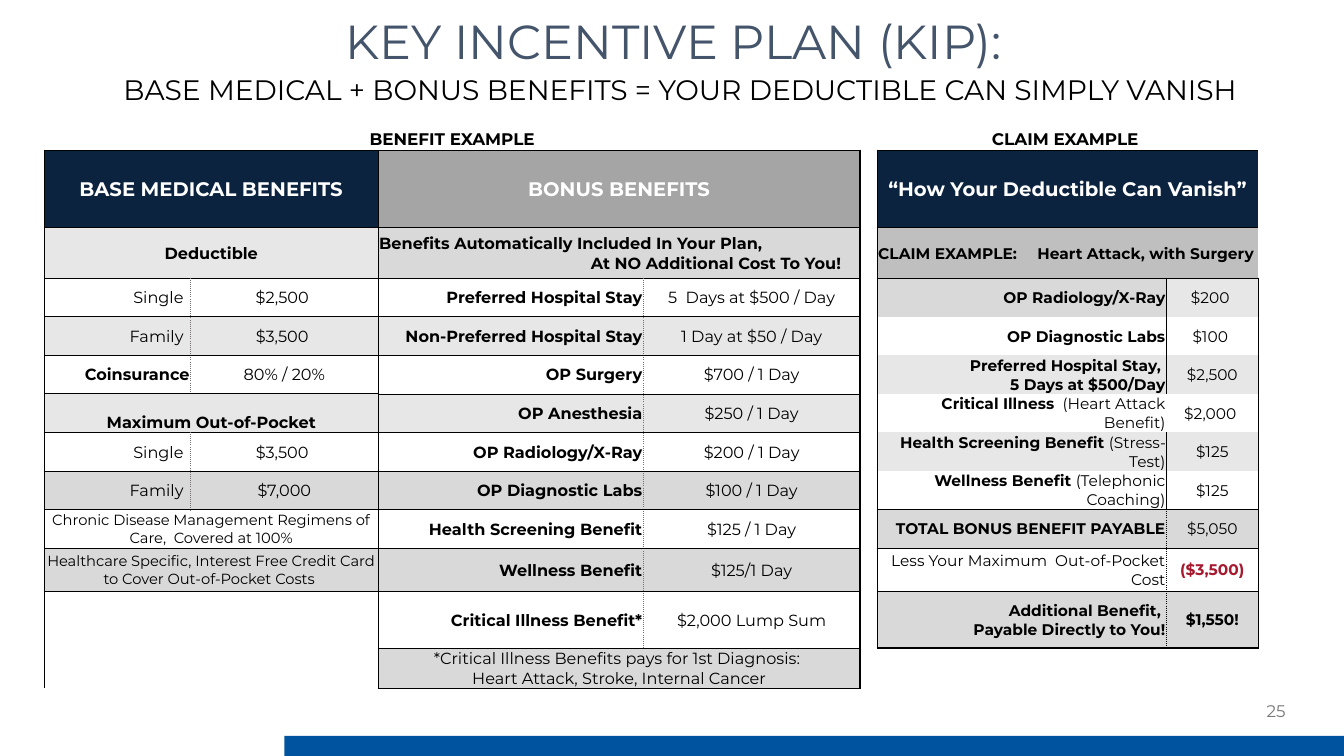
from dataclasses import dataclass
from itertools import product

from lxml.etree import SubElement as Sub
from pptx import Presentation
from pptx.dml.color import RGBColor as Rgb
from pptx.enum.shapes import MSO_SHAPE as Kind
from pptx.enum.text import MSO_ANCHOR as Anchor, MSO_AUTO_SIZE as Fit, PP_ALIGN as Align
from pptx.oxml.ns import qn
from pptx.util import Inches, Pt


@dataclass(frozen=True)
class Theme:
    font: str = "Montserrat"
    slate: str = "44546A"
    black: str = "000000"
    white: str = "FFFFFF"
    page: str = "797979"
    blue: str = "00539F"
    navy: str = "0C2340"
    red: str = "A6192E"
    steel: str = "A5A5A5"
    gray: str = "BFBFBF"
    mid: str = "D9D9D9"
    pale: str = "E7E7E7"
    dots: str = "757171"
    title: float = 34.1
    sub: float = 20.1
    head: float = 14
    label: float = 12
    body: float = 11.5
    claim: float = 11
    note: float = 10.5


T = Theme()
PLAIN = "{2D5ABB26-0587-4C30-8999-92F81FD0307C}"
# Line code: colour, points, dash
LINES = {"1": (T.black, 1, "solid"), "h": (T.black, 0.5, "solid"),
         "g": (T.dots, 0.5, "dot"), "d": (T.black, 0.5, "dot")}


def put(item, **vals):
    for name, val in vals.items():
        setattr(item, name, val)


def rule(cell, side, code):
    """Draw one side (L, R, T or B) of a table cell."""
    if code not in LINES:
        return
    tint, width, dash = LINES[code]
    line = Sub(cell._tc.get_or_add_tcPr(), qn(f"a:ln{side}"), w=str(Pt(width)))
    Sub(Sub(line, qn("a:solidFill")), qn("a:srgbClr"), val=tint)
    Sub(line, qn("a:prstDash"), val=dash)


class Deck:
    def __init__(self):
        self.show = Presentation()
        put(self.show, slide_width=Inches(13.33), slide_height=Inches(7.5))
        self.slide = self.show.slides.add_slide(self.show.slide_layouts[5])

    def run(self, para, text, size, tint=T.black, bold=False):
        run = para.add_run()
        run.text = text
        put(run.font, name=T.font, size=Pt(size), bold=bold)
        run.font.color.rgb = Rgb.from_string(tint)

    def title(self, box, lines):
        shape = self.slide.shapes.title
        put(shape, **dict(zip(("left", "top", "width", "height"), map(Inches, box))))
        frame = shape.text_frame
        put(frame, word_wrap=True, auto_size=Fit.NONE, vertical_anchor=Anchor.TOP,
            margin_top=Inches(0.08), margin_bottom=0)
        for i, (text, size, tint) in enumerate(lines):
            para = frame.add_paragraph() if i else frame.paragraphs[0]
            put(para, alignment=Align.CENTER, line_spacing=0.7, space_before=Pt(10 if i else 0))
            self.run(para, text, size, tint)

    def text(self, box, text, size, tint):
        frame = self.slide.shapes.add_textbox(*map(Inches, box)).text_frame
        put(frame, word_wrap=True, vertical_anchor=Anchor.MIDDLE)
        frame.paragraphs[0].alignment = Align.RIGHT
        self.run(frame.paragraphs[0], text, size, tint)

    def bar(self, box, tint):
        shape = self.slide.shapes.add_shape(Kind.RECTANGLE, *map(Inches, box))
        shape.shadow.inherit = False
        shape.fill.solid()
        shape.fill.fore_color.rgb = Rgb.from_string(tint)
        shape.line.fill.background()

    def grid(self, left, top, cols, rows):
        size = map(Inches, (left, top, sum(cols), sum(rows)))
        self.table = self.slide.shapes.add_table(len(rows), len(cols), *size).table
        put(self.table, first_row=False, horz_banding=False)
        self.table._tbl.tblPr.find(qn("a:tableStyleId")).text = PLAIN
        for col, width in zip(self.table.columns, cols):
            col.width = Inches(width)
        for row, height in zip(self.table.rows, rows):
            row.height = Inches(height)
        for cell in self.table.iter_cells():
            put(cell, margin_left=Inches(0.01), margin_right=Inches(0.01),
                margin_top=Inches(0.01), margin_bottom=0, vertical_anchor=Anchor.MIDDLE)

    def cell(self, row, col, text, edges, fill=None, span=(1, 1), size=T.body,
             tint=T.black, align=Align.CENTER, anchor=Anchor.MIDDLE, inset=0.01,
             hang=0, tab=0):
        """Fill a cell; in each line of text, | switches between bold and regular."""
        cell = self.table.cell(row, col)
        end = row + span[0] - 1, col + span[1] - 1
        if span != (1, 1):
            cell.merge(self.table.cell(*end))
        for r, c in product(range(row, end[0] + 1), range(col, end[1] + 1)):
            outer = c == col, c == end[1], r == row, r == end[0]
            for side, code, shown in zip("LRTB", edges, outer):
                if shown:
                    rule(self.table.cell(r, c), side, code)
        if fill:
            cell.fill.solid()
            cell.fill.fore_color.rgb = Rgb.from_string(fill)
        put(cell, vertical_anchor=anchor, margin_right=Inches(inset))
        for i, line in enumerate(text.split("\n") if text else []):
            para = cell.text_frame.add_paragraph() if i else cell.text_frame.paragraphs[0]
            para.alignment = align
            prop = para._p.get_or_add_pPr()
            if hang and i:
                prop.set("marL", str(Inches(hang)))
            if tab:
                Sub(Sub(prop, qn("a:tabLst")), qn("a:tab"), pos=str(Inches(tab)), algn="l")
            for j, part in enumerate(line.split("|")):
                if part:
                    self.run(para, part, size, tint, j % 2 == 0)

    def panel(self, col, rows, lines, size, split):
        """Fill two columns; lines holds a code per row edge, split one per row."""
        for i, row in enumerate(rows):
            if row is None:
                continue
            left, right, fill, look = row
            look = {"size": size, "fill": fill, **look}
            side = "1" if i else "-"
            if right is None:
                look = {"span": (1, 2), **look}
                edges = side * 2 + lines[i] + lines[i + look["span"][0]]
                self.cell(i, col, left, edges, **look)
            else:
                mid, ends = split[i], lines[i:i + 2]
                inset = 0.07 if left in ("|Single", "|Family") else 0.01
                self.cell(i, col, left, side + mid + ends, fill, size=size,
                          align=Align.RIGHT, inset=inset)
                self.cell(i, col + 1, right, mid + side + ends, **look)


TOP = {"size": T.label, "anchor": Anchor.BOTTOM}
HEAD = {"size": T.head, "tint": T.white}
NOTE = {"size": T.note}

BASE = [
    ("BENEFIT EXAMPLE", None, None, {"span": (1, 4), **TOP}),
    ("BASE MEDICAL BENEFITS", None, T.navy, HEAD),
    ("Deductible", None, T.pale, {}),
    ("|Single", "|$2,500 ", None, {}),
    ("|Family", "|$3,500 ", T.pale, {}),
    ("Coinsurance", "|80% / 20%", None, {}),
    ("Maximum Out-of-Pocket", None, T.pale, {"anchor": Anchor.BOTTOM}),
    ("|Single", "|$3,500 ", None, {}),
    ("|Family", "|$7,000", T.mid, {}),
    ("|Chronic Disease Management Regimens of Care,  Covered at 100%", None, None, NOTE),
    ("|Healthcare Specific, Interest Free Credit Card to Cover Out-of-Pocket Costs ",
     None, T.mid, NOTE),
    ("", None, None, {"span": (2, 2)}),
]
BONUS = [
    None,
    ("BONUS BENEFITS", None, T.steel, HEAD),
    ("Benefits Automatically Included In Your Plan,\nAt NO Additional Cost To You!",
     None, T.mid, {"align": Align.LEFT, "hang": 2.1}),
    ("Preferred Hospital Stay", "|5  Days at $500 / Day", None, {}),
    ("Non-Preferred Hospital Stay", "|1 Day at $50 / Day", T.pale, {}),
    ("OP Surgery", "|$700 / 1 Day", None, {}),
    ("OP Anesthesia", "|$250 / 1 Day", T.pale, {}),
    ("OP Radiology/X-Ray", "|$200 / 1 Day", None, {}),
    ("OP Diagnostic Labs", "|$100 / 1 Day", T.mid, {}),
    ("Health Screening Benefit", "|$125 / 1 Day", None, {}),
    ("Wellness Benefit", "|$125/1 Day", T.mid, {}),
    ("Critical Illness Benefit*", "|$2,000 Lump Sum", None, {}),
    ("|*Critical Illness Benefits pays for 1st Diagnosis: \n"
     "|Heart Attack, Stroke, Internal Cancer", None, T.mid, {}),
]
CLAIM = [
    ("CLAIM EXAMPLE ", None, None, TOP),
    ("“How Your Deductible Can Vanish”", None, T.navy, HEAD),
    ("CLAIM EXAMPLE:\tHeart Attack, with Surgery", None, T.gray,
     {"align": Align.LEFT, "tab": 1.58}),
    ("OP Radiology/X-Ray", "|$200 ", T.mid, {"fill": T.pale}),
    ("OP Diagnostic Labs", "|$100 ", None, {}),
    ("Preferred Hospital Stay, \n5 Days at $500/Day", "|$2,500", T.pale, {}),
    ("Critical Illness|  (Heart Attack Benefit)", "|$2,000 ", None, {}),
    ("Health Screening Benefit| (Stress-Test)", "|$125", T.pale, {}),
    ("Wellness Benefit |(Telephonic Coaching)", "|$125", None, {}),
    ("TOTAL BONUS BENEFIT PAYABLE", "|$5,050", T.mid, {}),
    ("|Less Your Maximum  Out-of-Pocket Cost", "($3,500)", None, {"tint": T.red}),
    ("Additional Benefit, \nPayable Directly to You!", "$1,550!", T.mid, {}),
]


def main():
    deck = Deck()
    deck.title((0.44, 0.19, 12.61, 0.88), [
        ("KEY INCENTIVE PLAN (KIP): ", T.title, T.slate),
        ("BASE MEDICAL + BONUS BENEFITS = YOUR DEDUCTIBLE CAN SIMPLY VANISH", T.sub, T.black)])
    deck.text((9.85, 6.85, 3, 0.4), "25", T.label, T.page)
    deck.bar((2.82, 7.3, 10.51, 0.2), T.blue)
    deck.grid(0.44, 1.06, [1.45, 1.86, 2.63, 2.15, 0.17, 2.87, 0.91],
              [0.43, 0.77, 0.5] + [2.68 / 7] * 7 + [0.43, 0.56, 0.4])
    deck.panel(0, BASE, "-111hh11hhhh-1", T.body, "g" * 13)
    deck.panel(2, BONUS, "-111" + "h" * 9 + "1", T.body, "g" * 13)
    deck.panel(5, CLAIM, "-11------1-h1-", T.claim, "-" * 9 + "ddd")
    deck.show.save("out.pptx")


if __name__ == "__main__":
    main()
